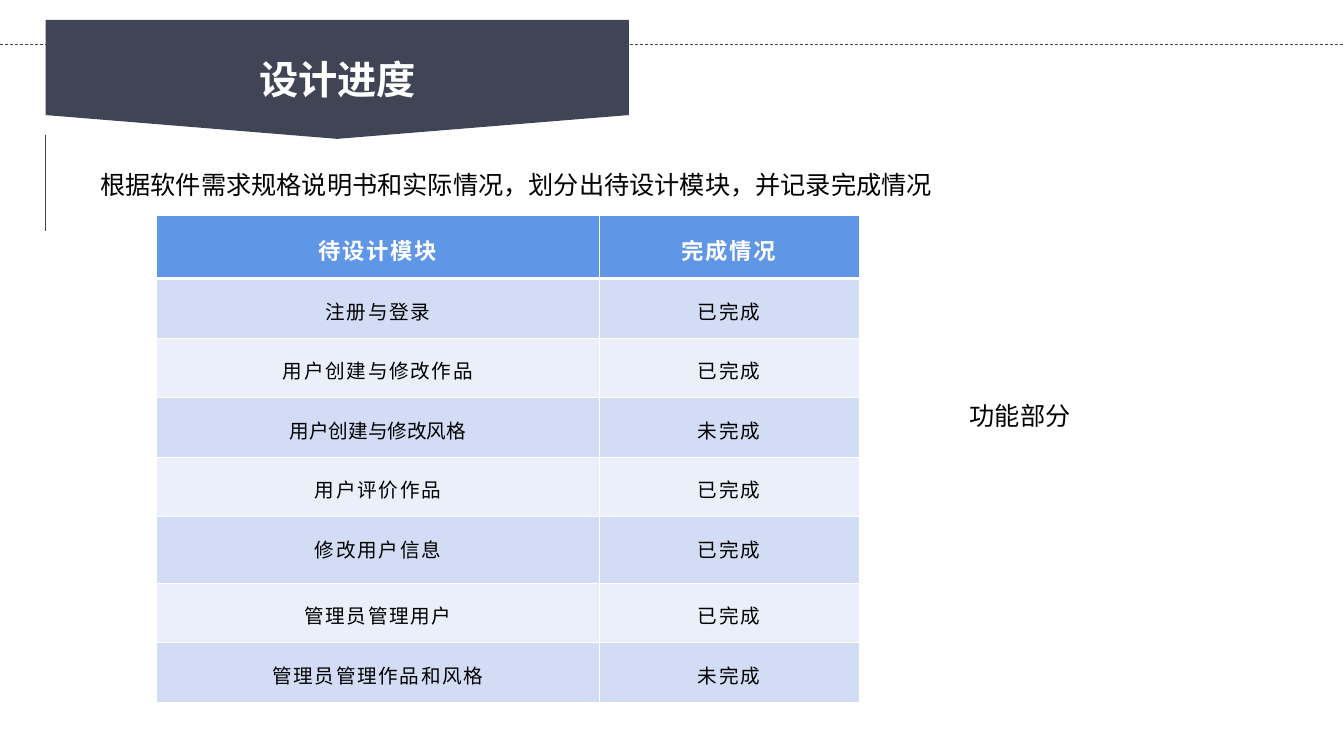
from lxml import etree
from pptx import Presentation
from pptx.dml.color import RGBColor
from pptx.enum.dml import MSO_LINE
from pptx.enum.shapes import MSO_CONNECTOR, MSO_SHAPE
from pptx.enum.text import MSO_ANCHOR, MSO_AUTO_SIZE, PP_ALIGN
from pptx.oxml.ns import qn
from pptx.util import Cm, Pt

CENTER, LEFT = PP_ALIGN.CENTER, PP_ALIGN.LEFT
TOP, MIDDLE = MSO_ANCHOR.TOP, MSO_ANCHOR.MIDDLE
GROW = MSO_AUTO_SIZE.SHAPE_TO_FIT_TEXT
STRAIGHT = MSO_CONNECTOR.STRAIGHT
BANNER = MSO_SHAPE.FLOWCHART_OFFPAGE_CONNECTOR
DASH = MSO_LINE.DASH

FONT = "Noto Sans CJK SC"
COLORS = {
    "slate": "414455",
    "header": "6096E6",
    "odd_row": "D2DDF5",
    "even_row": "EAEFFA",
    "white": "FFFFFF",
    "black": "000000",
}
PAGE_WIDTH, PAGE_HEIGHT = 33.87, 19.05
COLUMN_WIDTHS = [11.15, 6.55]
ROW_HEIGHTS = [1.6, 1.5, 1.5, 1.5, 1.5, 1.68, 1.5, 1.5]
LETTER_SPACING = 1.2
TIGHT_TEXT = "用户创建与修改风格"
MODULES = [
    ("待设计模块", "完成情况"),
    ("注册与登录", "已完成"),
    ("用户创建与修改作品", "已完成"),
    (TIGHT_TEXT, "未完成"),
    ("用户评价作品", "已完成"),
    ("修改用户信息", "已完成"),
    ("管理员管理用户", "已完成"),
    ("管理员管理作品和风格", "未完成"),
]


def color(name):
    return RGBColor.from_string(COLORS[name])


def add_span(para, text, size, color_name, bold=False, spacing=0):
    """Add one run; spacing is the extra gap between letters in points."""
    span = para.add_run()
    span.text = text
    span.font.size = Pt(size)
    span.font.bold = bold
    span.font.color.rgb = color(color_name)
    span.font.name = FONT
    properties = span.font._element
    etree.SubElement(properties, qn("a:ea"), typeface=FONT)
    if spacing:
        properties.set("spc", str(round(spacing * 100)))


def place(shape, left, top, width, height):
    shape.left, shape.top = Cm(left), Cm(top)
    shape.width, shape.height = Cm(width), Cm(height)


def add_line(page, start, end, dashed=False):
    line = page.shapes.add_connector(STRAIGHT, *map(Cm, start + end))
    line.line.color.rgb = color("slate")
    line.line.width = Pt(0.5)
    if dashed:
        line.line.dash_style = DASH
    etree.SubElement(line._element.spPr, qn("a:effectLst"))


def add_banner(page, left, top, width, height):
    banner = page.shapes.add_shape(BANNER, *map(Cm, (left, top, width, height)))
    banner.shadow.inherit = False
    banner.fill.solid()
    banner.fill.fore_color.rgb = color("slate")
    banner.line.fill.background()


def set_title(page, text):
    """Fill the title placeholder and bring it in front of the banner."""
    title = page.shapes.title
    place(title, 6.27, 1.27, 4.47, 1.45)
    frame = title.text_frame
    frame.word_wrap = False
    frame.auto_size = GROW
    frame.vertical_anchor = TOP
    para = frame.paragraphs[0]
    para.alignment = CENTER
    add_span(para, text, 28, "white", bold=True)
    title._element.getparent().append(title._element)


def add_text(page, text, left, top, width, height):
    box = page.shapes.add_textbox(*map(Cm, (left, top, width, height)))
    frame = box.text_frame
    frame.word_wrap = True
    frame.auto_size = GROW
    frame.vertical_anchor = MIDDLE
    para = frame.paragraphs[0]
    para.alignment = LEFT
    add_span(para, text, 18, "black")


def set_borders(cell, bottom):
    """Draw white cell borders, one point wide except for the bottom."""
    properties = cell._tc.get_or_add_tcPr()
    for side, width in (("L", 1), ("R", 1), ("T", 1), ("B", bottom)):
        border = etree.SubElement(properties, qn(f"a:ln{side}"), w=str(Pt(width)))
        fill = etree.SubElement(border, qn("a:solidFill"))
        etree.SubElement(fill, qn("a:srgbClr"), val=COLORS["white"])


def fill_cell(cell, text, row):
    header = row == 0
    set_borders(cell, bottom=3 if header else 1)
    cell.fill.solid()
    band = "odd_row" if row % 2 else "even_row"
    cell.fill.fore_color.rgb = color("header" if header else band)
    cell.margin_left = cell.margin_right = Cm(0.48)
    cell.margin_top = cell.margin_bottom = Cm(0.3)
    cell.vertical_anchor = TOP
    para = cell.text_frame.paragraphs[0]
    para.alignment = CENTER
    para.line_spacing = 1.2
    add_span(
        para,
        text,
        size=16 if header else 14,
        color_name="white" if header else "black",
        bold=header,
        spacing=0 if text == TIGHT_TEXT else LETTER_SPACING,
    )


def add_progress_table(page, left, top):
    size = sum(COLUMN_WIDTHS), sum(ROW_HEIGHTS)
    frame = page.shapes.add_table(
        len(MODULES), len(COLUMN_WIDTHS), *map(Cm, (left, top) + size)
    )
    table = frame.table
    for column, width in zip(table.columns, COLUMN_WIDTHS):
        column.width = Cm(width)
    for row, height in zip(table.rows, ROW_HEIGHTS):
        row.height = Cm(height)
    for row, texts in enumerate(MODULES):
        for column, text in enumerate(texts):
            fill_cell(table.cell(row, column), text, row)


def main():
    deck = Presentation()
    deck.slide_width, deck.slide_height = Cm(PAGE_WIDTH), Cm(PAGE_HEIGHT)
    title_only = deck.slide_layouts.get_by_name("Title Only")
    page = deck.slides.add_slide(title_only)

    add_line(page, (0, 1.12), (PAGE_WIDTH, 1.12), dashed=True)
    add_banner(page, 1.15, 0.5, 14.7, 3)
    set_title(page, "设计进度")
    add_line(page, (1.15, 3.4), (1.15, 5.82))
    add_progress_table(page, 3.95, 5.42)
    add_text(
        page,
        "根据软件需求规格说明书和实际情况，划分出待设计模块，并记录完成情况",
        2.28, 4.15, 23.52, 1.02,
    )
    add_text(page, "功能部分", 24.19, 9.96, 7.14, 1.02)
    deck.save("out.pptx")


if __name__ == "__main__":
    main()
